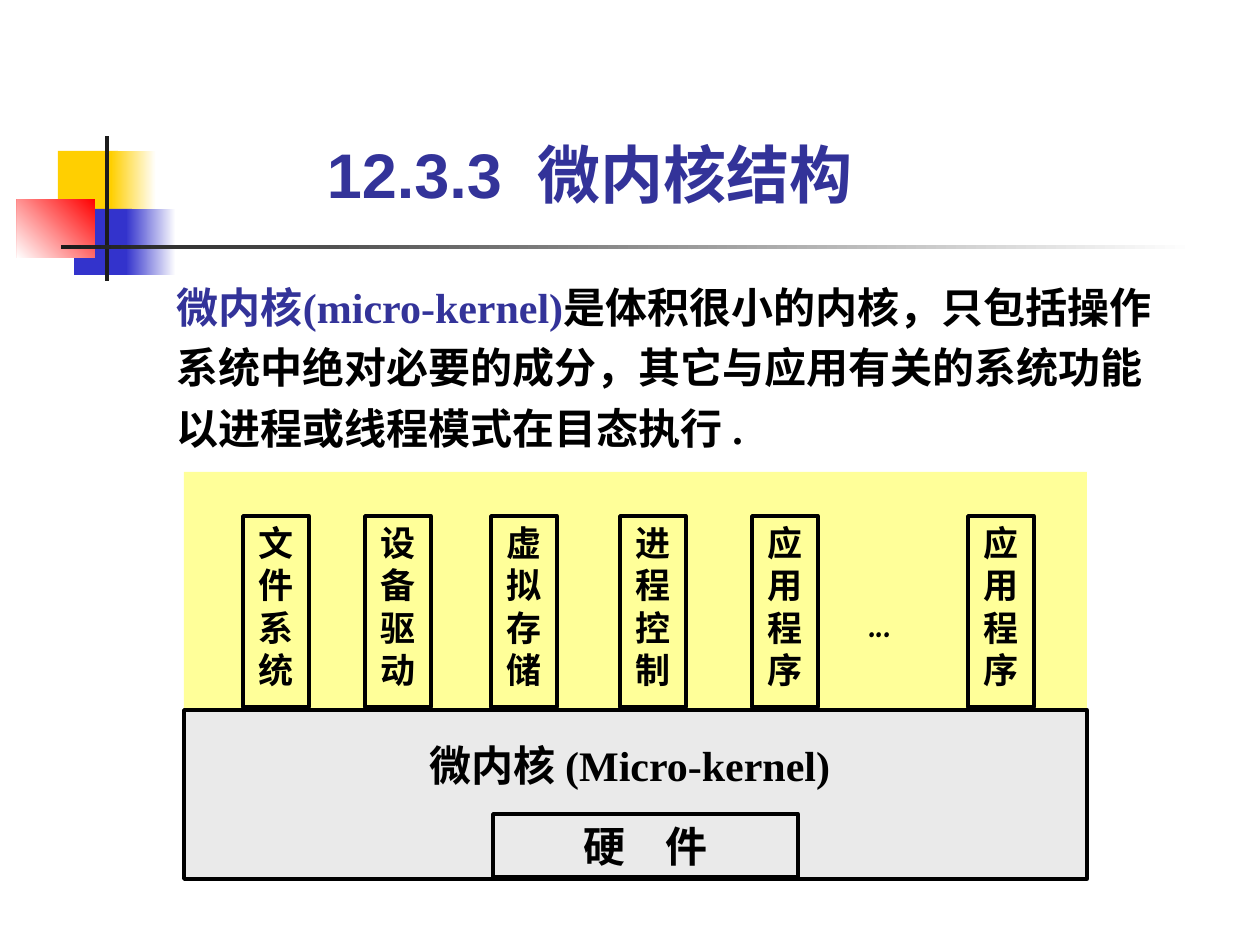
from pptx import Presentation
from pptx.dml.color import RGBColor
from pptx.enum.shapes import MSO_SHAPE as Shape
from pptx.enum.text import MSO_ANCHOR as Anchor, MSO_AUTO_SIZE as AutoSize, PP_ALIGN as Align
from pptx.util import Emu, Pt

SERIF = "Times New Roman"
BLACK, NAVY, WHITE = "000000", "333399", "FFFFFF"
YELLOW, BLUE, RED, DARK = "FFCF01", "3333CC", "FF0000", "1C1C1C"
USER_FILL, KERNEL_FILL = "FFFF99", "EAEAEA"

# Runs: text, colour, extra letter spacing in points
TITLE = [("12.3.3", NAVY, 0), (" ", NAVY, 10), ("微内核结构", NAVY, 0)]
DEFINITION = [
    ("微内核(micro-kernel)", NAVY, 0),
    ("是体积很小的内核，只包括操作系统中绝对必要的成分，"
     "其它与应用有关的系统功能以进程或线程模式在目态执行 .", BLACK, 0),
]
KERNEL = [("微内核 (Micro-kernel)", BLACK, 0)]
HARDWARE = [("硬", BLACK, 0), (" ", BLACK, 17), ("件", BLACK, 0)]
ELLIPSIS = [("...", BLACK, 0)]

# Processes above the kernel: label, left
PROCESSES = [("文件系统", 243), ("设备驱动", 365), ("虚拟存储", 491),
             ("进程控制", 620), ("应用程序", 752), ("应用程序", 968)]

# Corner ornament: box, first colour, second colour, gradient angle
ORNAMENT = [
    ((58, 151, 60, 66), YELLOW, None, 0),
    ((111, 151, 45, 66), WHITE, YELLOW, 180),
    ((74, 209, 58, 66), BLUE, None, 0),
    ((126, 209, 50, 66), WHITE, BLUE, 180),
    ((17, 199, 78, 59), RED, WHITE, 225),
    ((105, 136, 4, 145), DARK, None, 0),
    ((61, 245, 1134, 4), WHITE, DARK, 180),
]


def px(value):
    return Emu(round(value * 914400 / 126))


def rgb(value):
    return RGBColor.from_string(value)


def add_box(slide, box, fill=None, fade=None, angle=0, outlined=False):
    shape = slide.shapes.add_shape(Shape.RECTANGLE, *map(px, box))
    shape.shadow.inherit = False
    if fade:
        shape.fill.gradient()
        shape.fill.gradient_angle = angle
        for stop, colour in zip(shape.fill.gradient_stops, (fill, fade)):
            stop.color.rgb = rgb(colour)
    elif fill:
        shape.fill.solid()
        shape.fill.fore_color.rgb = rgb(fill)
    else:
        shape.fill.background()
    if outlined:
        shape.line.color.rgb = rgb(BLACK)
        shape.line.width = Pt(2)
    else:
        shape.line.fill.background()
    return shape


def add_text(slide, box):
    return slide.shapes.add_textbox(*map(px, box))


def write(shape, runs, size, font=SERIF, align=Align.CENTER, anchor=Anchor.TOP,
          insets=(0, 0, 0, 0), spacing=None):
    frame = shape.text_frame
    frame.word_wrap = True
    frame.auto_size = AutoSize.NONE
    frame.vertical_anchor = anchor
    (frame.margin_left, frame.margin_top,
     frame.margin_right, frame.margin_bottom) = map(px, insets)
    paragraph = frame.paragraphs[0]
    paragraph.alignment = align
    if spacing:
        paragraph.line_spacing = spacing
    for text, colour, tracking in runs:
        run = paragraph.add_run()
        run.text = text
        run.font.size = Pt(size)
        run.font.name = font
        run.font.bold = True
        run.font.color.rgb = rgb(colour)
        if tracking:
            run.font._element.set("spc", str(tracking * 100))


prs = Presentation()
prs.slide_width, prs.slide_height = px(1260), px(945)
slide = prs.slides.add_slide(prs.slide_layouts[5])

# Corner ornament and rule
for box, fill, fade, angle in ORNAMENT:
    add_box(slide, box, fill, fade, angle)

# Title and definition
title = slide.shapes.title
title.left, title.top, title.width, title.height = map(px, (292, 135, 595, 76))
write(title, TITLE, 36, font="Arial", anchor=Anchor.MIDDLE)
write(add_text(slide, (164, 265, 1008, 194)), DEFINITION, 24,
      align=Align.LEFT, insets=(13, 6, 13, 6), spacing=1.2)

# User space and kernel layers
add_box(slide, (184, 472, 903, 238), USER_FILL)
add_box(slide, (184, 710, 903, 169), KERNEL_FILL, outlined=True)
write(add_text(slide, (392, 740, 476, 50)), KERNEL, 24)
hardware = add_box(slide, (493, 814, 305, 63), outlined=True)
write(hardware, HARDWARE, 24, anchor=Anchor.MIDDLE, insets=(13, 6, 13, 6))

# Processes, one character per line
for label, left in PROCESSES:
    process = add_box(slide, (left, 516, 66, 191), outlined=True)
    write(process, [(label, BLACK, 0)], 20, insets=(13, 6, 13, 16))
write(add_text(slide, (868, 605, 69, 40)), ELLIPSIS, 24, font="Comic Neue",
      align=Align.LEFT, spacing=0.8)

prs.save("out.pptx")
